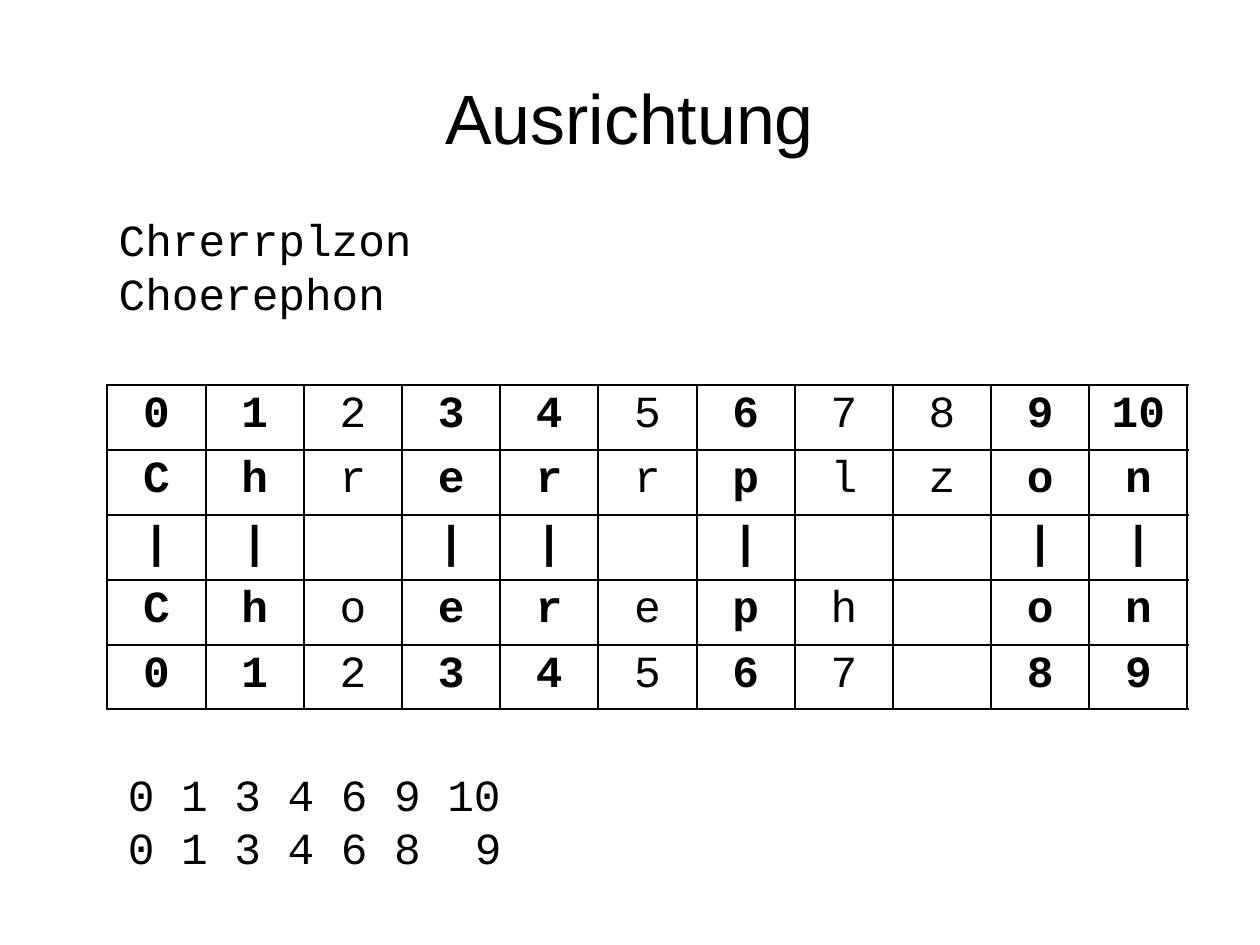
from lxml import etree
from pptx import Presentation
from pptx.dml.color import RGBColor
from pptx.enum.text import MSO_ANCHOR, PP_ALIGN
from pptx.oxml.ns import qn
from pptx.util import Inches, Pt

BLACK = RGBColor(0x00, 0x00, 0x00)
MONO = "Courier New"
LINK = "|"
ALIGNMENT = [
    ["0", "1", "2", "3", "4", "5", "6", "7", "8", "9", "10"],
    ["C", "h", "r", "e", "r", "r", "p", "l", "z", "o", "n"],
    [LINK, LINK, "", LINK, LINK, "", LINK, "", "", LINK, LINK],
    ["C", "h", "o", "e", "r", "e", "p", "h", "", "o", "n"],
    ["0", "1", "2", "3", "4", "5", "6", "7", "", "8", "9"],
]
LINK_ROW = ALIGNMENT[2]


def style(p, size=28, name=MONO, bold=False, align=PP_ALIGN.LEFT):
    p.alignment = align
    p.font.size = Pt(size)
    p.font.name = name
    p.font.bold = bold
    p.font.color.rgb = BLACK


def add_title(slide, box, title):
    tf = slide.shapes.add_textbox(*map(Inches, box)).text_frame
    tf.word_wrap = True
    tf.vertical_anchor = MSO_ANCHOR.MIDDLE
    tf.margin_left = tf.margin_right = tf.margin_top = tf.margin_bottom = 0
    tf.text = title
    style(tf.paragraphs[0], 44, "Arial", align=PP_ALIGN.CENTER)


def add_lines(slide, box, lines, right_tab=None):
    """Add monospaced lines; right_tab is the stop where a tabbed entry ends."""
    tf = slide.shapes.add_textbox(*map(Inches, box)).text_frame
    tf.word_wrap = True
    tf.text = "\n".join(lines)
    for p in tf.paragraphs:
        if right_tab:
            stops = etree.SubElement(p._p.get_or_add_pPr(), qn("a:tabLst"))
            etree.SubElement(stops, qn("a:tab"), pos=str(Inches(right_tab)), algn="r")
        style(p)


def add_borders(cell):
    tc_pr = cell._tc.get_or_add_tcPr()
    for side in ("a:lnL", "a:lnR", "a:lnT", "a:lnB"):
        ln = etree.SubElement(tc_pr, qn(side), w=str(Pt(1.47)))
        fill = etree.SubElement(ln, qn("a:solidFill"))
        etree.SubElement(fill, qn("a:srgbClr"), val=str(BLACK))


def add_alignment_table(slide, box, rows):
    """Add the grid; columns joined by a link mark are bold."""
    left, top, width, height = map(Inches, box)
    frame = slide.shapes.add_table(len(rows), len(rows[0]), left, top, width, height)
    table = frame.table
    table.first_row = table.horz_banding = False
    for r, row in enumerate(rows):
        for c, value in enumerate(row):
            cell = table.cell(r, c)
            add_borders(cell)
            cell.fill.background()
            cell.text = value
            style(cell.text_frame.paragraphs[0], bold=LINK_ROW[c] == LINK,
                  align=PP_ALIGN.CENTER)


def main():
    prs = Presentation()
    prs.slide_width = Pt(793.75)
    prs.slide_height = Pt(595.25)
    prs.element.sldSz.attrib.pop("type", None)
    slide = prs.slides.add_slide(prs.slide_layouts[6])
    add_title(slide, (0.55, 0.33, 9.92, 1.38), "Ausrichtung")
    add_alignment_table(slide, (0.94, 3.37, 9.45, 2.83), ALIGNMENT)
    add_lines(slide, (0.94, 1.81, 7.09, 1.16), ["Chrerrplzon", "Choerephon"])
    add_lines(slide, (1.02, 6.66, 5.77, 0.88),
              ["0 1 3 4 6 9 10", "0 1 3 4 6 8\t9"], right_tab=3.27)
    prs.save("out.pptx")


if __name__ == "__main__":
    main()
